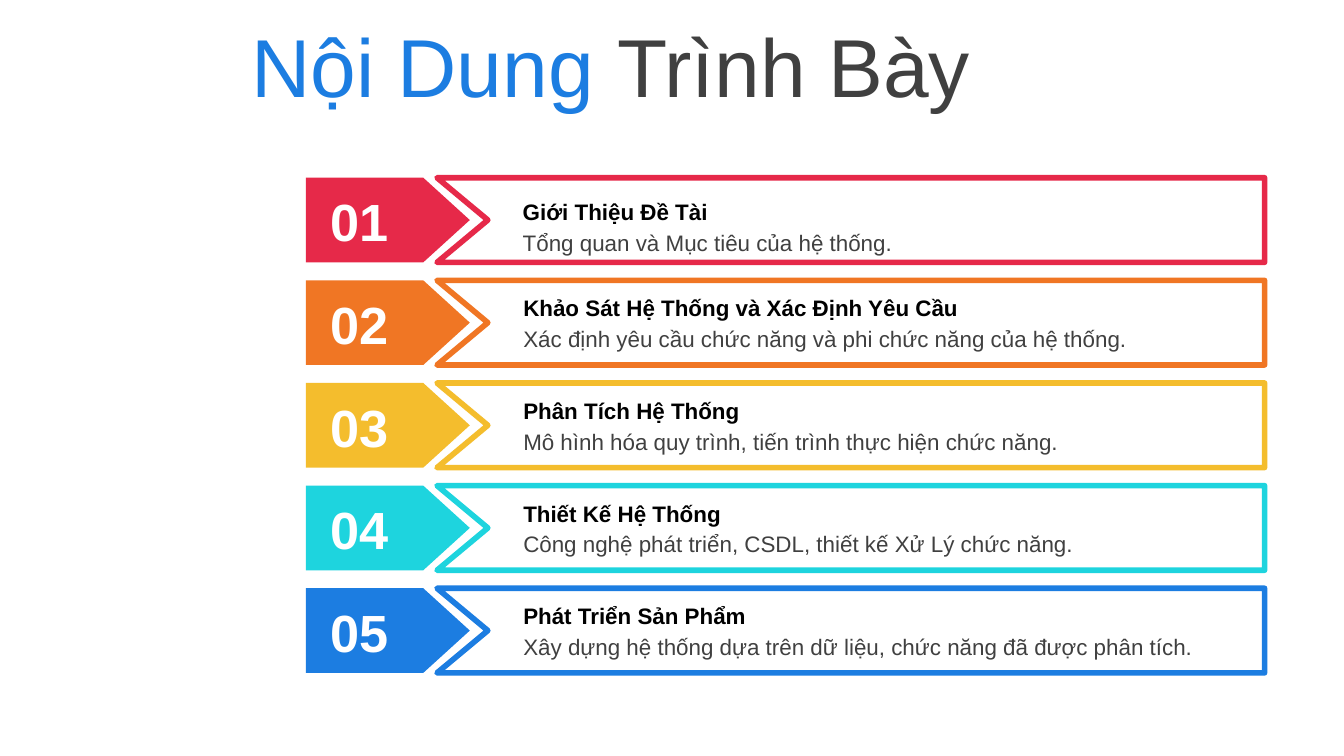
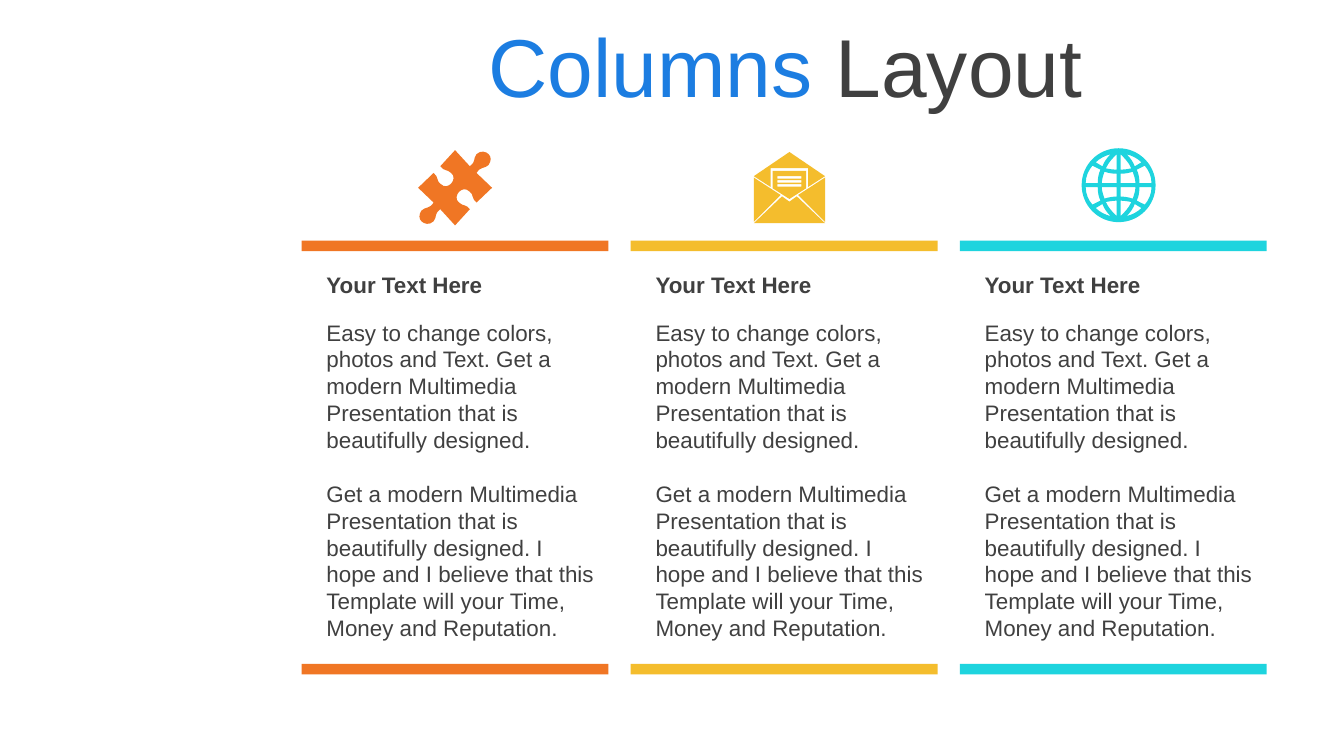
from itertools import cycle
from lxml.etree import SubElement
from pptx import Presentation
from pptx.dml.color import RGBColor
from pptx.enum.shapes import MSO_SHAPE as Preset
from pptx.enum.text import MSO_ANCHOR as Anchor, MSO_AUTO_SIZE as AutoSize, PP_ALIGN as Align
from pptx.oxml.ns import qn
from pptx.util import Cm, Pt

RED = RGBColor(0xE6, 0x29, 0x49)
ORANGE = RGBColor(0xF0, 0x76, 0x24)
YELLOW = RGBColor(0xF4, 0xBD, 0x2D)
CYAN = RGBColor(0x1E, 0xD4, 0xDE)
BLUE = RGBColor(0x1C, 0x7D, 0xE1)
GREY = RGBColor(0x40, 0x40, 0x40)
BLACK = RGBColor(0, 0, 0)
WHITE = RGBColor(0xFF, 0xFF, 0xFF)
FONT = "Arial"


def paint(shape, fill, line=None):
    shape.shadow.inherit = False
    shape.fill.solid()
    shape.fill.fore_color.rgb = fill
    if line is None:
        shape.line.fill.background()
    else:
        shape.line.color.rgb = line
        shape.line.width = Pt(3)


def add_text(slide, left, top, width, height, texts, color, size=12, bold=False):
    frame = slide.shapes.add_textbox(Cm(left), Cm(top), Cm(width), Cm(height)).text_frame
    frame.word_wrap = True
    frame.auto_size = AutoSize.SHAPE_TO_FIT_TEXT
    for index, text in enumerate(texts):
        paragraph = frame.add_paragraph() if index else frame.paragraphs[0]
        run = paragraph.add_run()
        run.text = text
        run.font.name = FONT
        run.font.size = Pt(size)
        run.font.bold = bold
        run.font.color.rgb = color
    return frame


presentation = Presentation()
presentation.slide_width = Cm(25.4)
presentation.slide_height = Cm(14.29)

titles = [
    ("Nội Dung ", "Trình Bày", 4.5, Align.LEFT),
    ("Columns ", "Layout", 4.29, Align.CENTER),
]
slides = []
for accent, rest, left, alignment in titles:
    slide = presentation.slides.add_slide(presentation.slide_layouts[5])
    title = slide.shapes.title
    title.left, title.top = Cm(left), Cm(0)
    title.width, title.height = Cm(25.4 - left), Cm(2.46)
    title.text_frame.vertical_anchor = Anchor.MIDDLE
    paragraph = title.text_frame.paragraphs[0]
    paragraph.alignment = alignment
    for text, color in ((accent, BLUE), (rest, GREY)):
        run = paragraph.add_run()
        run.text = text
        run.font.name = FONT
        run.font.size = Pt(44)
        run.font.color.rgb = color
    slides.append(slide)
agenda_slide, columns_slide = slides

agenda = [
    (RED, "Giới Thiệu Đề Tài", "Tổng quan và Mục tiêu của hệ thống."),
    (ORANGE, "Khảo Sát Hệ Thống và Xác Định Yêu Cầu",
     "Xác định yêu cầu chức năng và phi chức năng của hệ thống."),
    (YELLOW, "Phân Tích Hệ Thống", "Mô hình hóa quy trình, tiến trình thực hiện chức năng."),
    (CYAN, "Thiết Kế Hệ Thống", "Công nghệ phát triển, CSDL, thiết kế Xử Lý chức năng."),
    (BLUE, "Phát Triển Sản Phẩm",
     "Xây dựng hệ thống dựa trên dữ liệu, chức năng đã được phân tích."),
]
ROW_HEIGHT = 1.6
for index, (color, heading, description) in enumerate(agenda):
    top = 3.36 + index * 1.94
    bottom = top + ROW_HEIGHT
    arrow = agenda_slide.shapes.add_shape(
        Preset.PENTAGON, Cm(5.78), Cm(top), Cm(3.1), Cm(ROW_HEIGHT))
    arrow.adjustments[0] = 0.55
    paint(arrow, color)

    corners = [(23.9, top), (23.9, bottom), (8.26, bottom), (9.22, top + ROW_HEIGHT / 2)]
    builder = agenda_slide.shapes.build_freeform(Cm(8.26), Cm(top))
    builder.add_line_segments([(Cm(x), Cm(y)) for x, y in corners], close=True)
    paint(builder.convert_to_shape(), WHITE, color)

    number = add_text(agenda_slide, 6, top + 0.22, 1.68, 1.19, [f"{index + 1:02}"], WHITE, 28, True)
    number.margin_top = number.margin_bottom = 0
    number.vertical_anchor = Anchor.MIDDLE

    text_left, text_top = (9.64, top + 0.14) if index else (9.63, top + 0.26)
    add_text(agenda_slide, text_left, text_top, 13.46, 0.76, [heading], BLACK, bold=True)
    add_text(agenda_slide, text_left, text_top + 0.58, 13.46, 0.76, [description], GREY)

body_texts = [
    "Easy to change colors, photos and Text. Get a modern Multimedia Presentation "
    "that is beautifully designed.",
    "Get a modern Multimedia Presentation that is beautifully designed. I hope and "
    "I believe that this Template will your Time, Money and Reputation.",
]

puzzle_half = [
    (25, -25), (27, -23, 27, -20, 25, -17), (22, -14, 19, -16, 16, -11), (27.5, 0), (16, 11),
    (12, 8, 14, 5, 11, 3), (8, 0, 5, 1, 3, 3), (1, 5, 0, 9, 3, 11), (6, 14, 8, 12, 11, 16),
    (0, 28), (-11, 16), (-16, 20, -13, 21, -16, 25), (-19, 28, -23, 27, -25, 25),
]
puzzle = [puzzle_half + [tuple(-value for value in step) for step in puzzle_half[1:]]]

envelope = [
    [(-5.5, 6), (0, 10), (5.5, 6), (26.5, 26), (-26.5, 26)],
    [(-12.5, -13), (12.5, -13), (12.5, 0), (0, 8), (-12.5, 0)],
    [(0, -27), (26.5, -9), (14, -1), (14, -15), (-14, -15), (-14, -1), (-26.5, -9)],
]
for side in (-1, 1):
    envelope.append([(side * x, y) for x, y in [(26.5, -8), (26.5, 25), (6.5, 5), (23.5, -6)]])
for y in (-9, -6, -3):
    envelope.append([(-9, y), (9, y), (9, y + 1.8), (-9, y + 1.8)])

globe_panes = [
    [(12, 14), (11, 17, 9, 20, 6, 23), (10, 22, 14, 20, 17, 17), (15, 15, 14, 15, 12, 14)],
    [(1.5, 11.5), (1.5, 23), (4.5, 20, 7.5, 17, 9.5, 12.5), (6.5, 12, 4, 11.5, 1.5, 11.5)],
    [(15.5, 1.5), (15.5, 5, 15, 8.5, 13.5, 11.5), (15.5, 12.5, 17.5, 13.5, 19.5, 14.5),
     (22.5, 11, 24.5, 6.5, 24.5, 1.5)],
    [(1.5, 1.5), (1.5, 8.5), (4.5, 8.5, 7.5, 9, 10.5, 10), (11.5, 7, 12.5, 4.5, 12.5, 1.5)],
]
globe = [[
    (27.5, 0), (27.5, 15.2, 15.2, 27.5, 0, 27.5), (-15.2, 27.5, -27.5, 15.2, -27.5, 0),
    (-27.5, -15.2, -15.2, -27.5, 0, -27.5), (15.2, -27.5, 27.5, -15.2, 27.5, 0),
]]
for signs in ((1, 1), (-1, 1), (-1, -1), (1, -1)):
    for pane in globe_panes:
        globe.append([tuple(v * sign for v, sign in zip(step, cycle(signs))) for step in pane])

columns = [
    (ORANGE, puzzle, 8.6, 3.55),
    (YELLOW, envelope, 14.92, 3.56),
    (CYAN, globe, 21.14, 3.5),
]
ICON_UNIT = Cm(2.54) / 100
for index, (color, icon, center_x, center_y) in enumerate(columns):
    left = 5.7 + index * 6.22
    for top in (4.55, 12.55):
        bar = columns_slide.shapes.add_shape(Preset.RECTANGLE, Cm(left), Cm(top), Cm(5.8), Cm(0.2))
        paint(bar, color)
    body = add_text(columns_slide, left + 0.22, 5.9, 5.59, 6.4, body_texts, GREY)
    for paragraph in body.paragraphs:
        paragraph.line_spacing = Pt(14.4)
    body.paragraphs[1].space_before = Pt(14.4)
    add_text(columns_slide, left + 0.22, 5.01, 5.59, 0.76, ["Your Text Here"], GREY, bold=True)

    builder = None
    steps = []
    for contour in icon:
        placed = [
            [round(Cm(center) + value * ICON_UNIT)
             for value, center in zip(step, cycle((center_x, center_y)))]
            for step in contour
        ]
        ends = [step[-2:] for step in placed]
        if builder is None:
            builder = columns_slide.shapes.build_freeform(*ends[0])
        else:
            builder.move_to(*ends[0])
        builder.add_line_segments(ends[1:], close=True)
        steps += placed
    shape = builder.convert_to_shape()
    paint(shape, color)
    segments = shape.element.xpath(".//a:moveTo | .//a:lnTo")
    for segment, step in zip(segments, steps):
        if len(step) == 6:
            segment.tag = qn("a:cubicBezTo")
            for point in list(segment):
                segment.remove(point)
            for x, y in zip(step[::2], step[1::2]):
                SubElement(segment, qn("a:pt"), x=str(x - shape.left), y=str(y - shape.top))

presentation.save("out.pptx")
